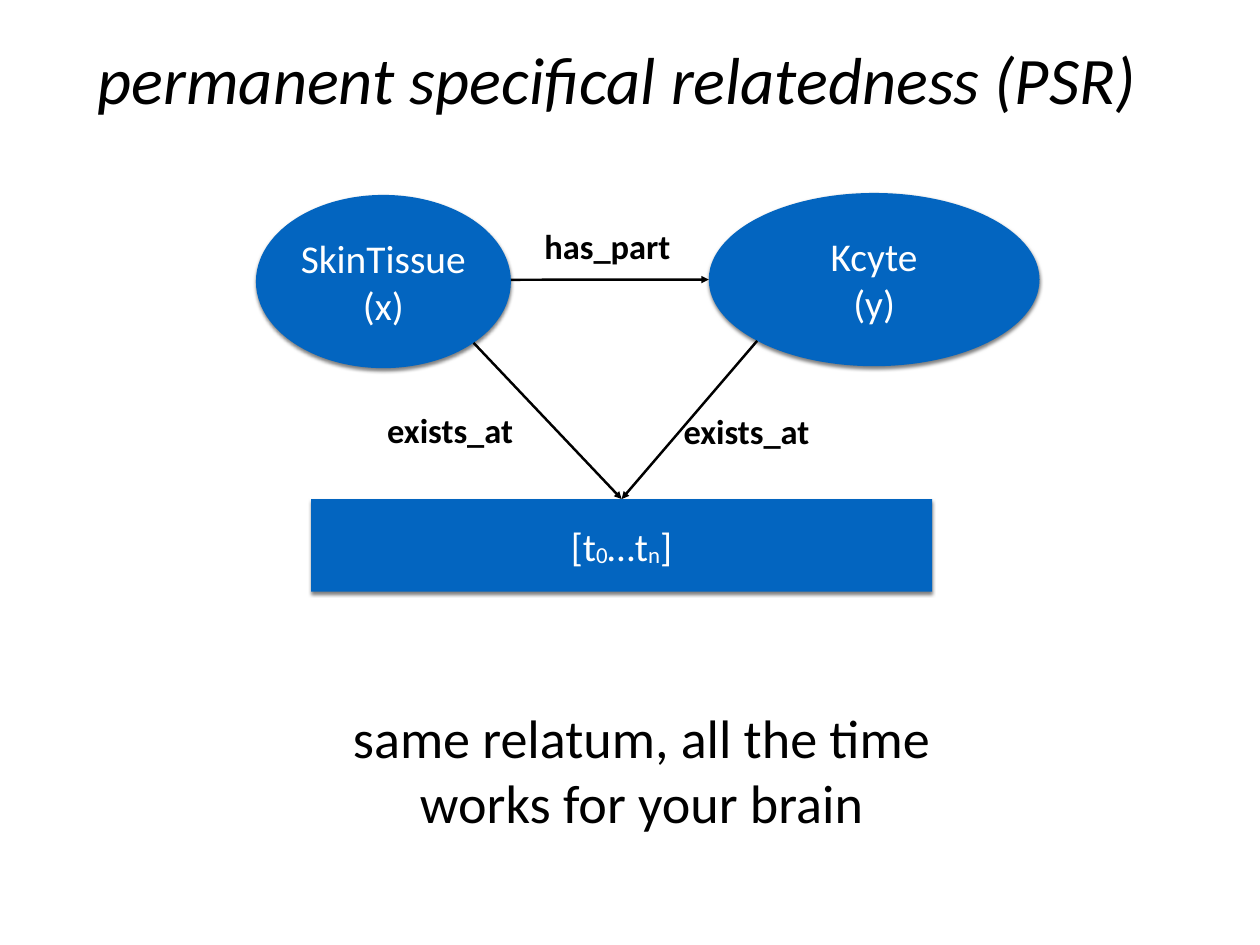
import math
import pptx
import pptx.util
import pptx.dml.color
import pptx.enum.shapes
import pptx.enum.text
import pptx.oxml
import pptx.oxml.ns

CELL = pptx.util.Inches(1) / 9
COLS, ROWS = 128, 96
BLACK, WHITE, BLUE = "000000", "FFFFFF", "0365C0"
SHADE = (
    f'<a:effectLst {pptx.oxml.ns.nsdecls("a")}>'
    '<a:outerShdw blurRad="38100" dist="25400" dir="5400000" rotWithShape="0">'
    '<a:srgbClr val="000000"><a:alpha val="50000"/></a:srgbClr>'
    '</a:outerShdw></a:effectLst>'
)
FLAT = f'<a:effectLst {pptx.oxml.ns.nsdecls("a")}/>'
TIP = f'<a:tailEnd {pptx.oxml.ns.nsdecls("a")} type="triangle"/>'
KIND = pptx.enum.shapes.MSO_SHAPE
ALIGN = pptx.enum.text.PP_ALIGN


def grid(*cells):
    return [pptx.util.Emu(round(cell * CELL)) for cell in cells]


def hue(code):
    return pptx.dml.color.RGBColor.from_string(code)


def write(shape, text, size, color=BLACK, bold=False, slant=False, align=ALIGN.CENTER):
    frame = shape.text_frame
    frame.word_wrap = True
    frame.vertical_anchor = pptx.enum.text.MSO_ANCHOR.MIDDLE
    inset = pptx.util.Inches(0.06)
    frame.margin_left = frame.margin_right = inset
    frame.margin_top = frame.margin_bottom = inset
    for row, line in enumerate(text.split("\n")):
        para = frame.add_paragraph() if row else frame.paragraphs[0]
        para.alignment = align
        for turn, part in enumerate(line.split("~")):
            run = para.add_run()
            run.text = part
            font = run.font
            font.name, font.size = "Calibri", pptx.util.Pt(size)
            font.bold, font.italic = bold, slant
            font.color.rgb = hue(color)
            if turn % 2:
                run._r.get_or_add_rPr().set("baseline", "-6000")


def port(shape, across, down):
    return shape.left + shape.width * across, shape.top + shape.height * down


class Board:
    """Holds the style and the current slide, and draws each kind of element."""

    def __init__(self, deck):
        self.fill, self.ink = BLUE, WHITE
        self.slide = deck.slides.add_slide(deck.slide_layouts[6])
        self.shapes = self.slide.shapes

    def node(self, kind, box, text):
        shape = self.shapes.add_shape(kind, *grid(*box))
        shape.fill.solid()
        shape.fill.fore_color.rgb = hue(self.fill)
        shape.line.fill.background()
        shape._element.spPr.append(pptx.oxml.parse_xml(SHADE))
        write(shape, text, 32, color=self.ink)
        return shape

    def label(self, box, text, size, **form):
        shape = self.shapes.add_textbox(*grid(*box))
        write(shape, text, size, **form)

    def arrow(self, start, end):
        ends = [round(value) for value in (*start, *end)]
        link = self.shapes.add_connector(pptx.enum.shapes.MSO_CONNECTOR.STRAIGHT, *ends)
        link.line.color.rgb = hue(BLACK)
        link.line.width = pptx.util.Pt(2)
        link.line._get_or_add_ln().append(pptx.oxml.parse_xml(TIP))
        link._element.spPr.append(pptx.oxml.parse_xml(FLAT))


def main():
    deck = pptx.Presentation()
    deck.slide_width, deck.slide_height = grid(COLS, ROWS)
    board = Board(deck)
    board.label((9.4, 1.5, 112.8, 12.8), "permanent specifical relatedness (PSR)", 54,
                slant=True, align=ALIGN.LEFT)

    skin = board.node(KIND.OVAL, (26, 19.8, 25.9, 17.6), "SkinTissue\n(x)")
    cell = board.node(KIND.OVAL, (72, 19.6, 33.6, 17.6), "Kcyte\n(y)")
    time = board.node(KIND.RECTANGLE, (31.6, 50.7, 63.1, 9.4), "[t~0~…t~n~]")

    near = (1 - math.sqrt(0.5)) / 2
    goal = port(time, 0.5, 0)
    board.arrow(port(skin, 1, 0.49), port(cell, 0, 0.5))
    board.arrow(port(skin, 1 - near, 1 - near), goal)
    board.arrow(port(cell, near, 1 - near), goal)

    tags = (
        (51.9, 21.2, "has_part", ALIGN.CENTER),
        (38.8, 39.9, "exists_at", ALIGN.LEFT),
        (68.9, 40, "exists_at", ALIGN.LEFT),
    )
    for left, top, text, align in tags:
        board.label((left, top, 19.6, 7.6), text, 28, bold=True, align=align)
    board.label((11.7, 71, 107, 14.3),
                "same relatum, all the time\nworks for your brain", 44)
    deck.save("out.pptx")


if __name__ == "__main__":
    main()
